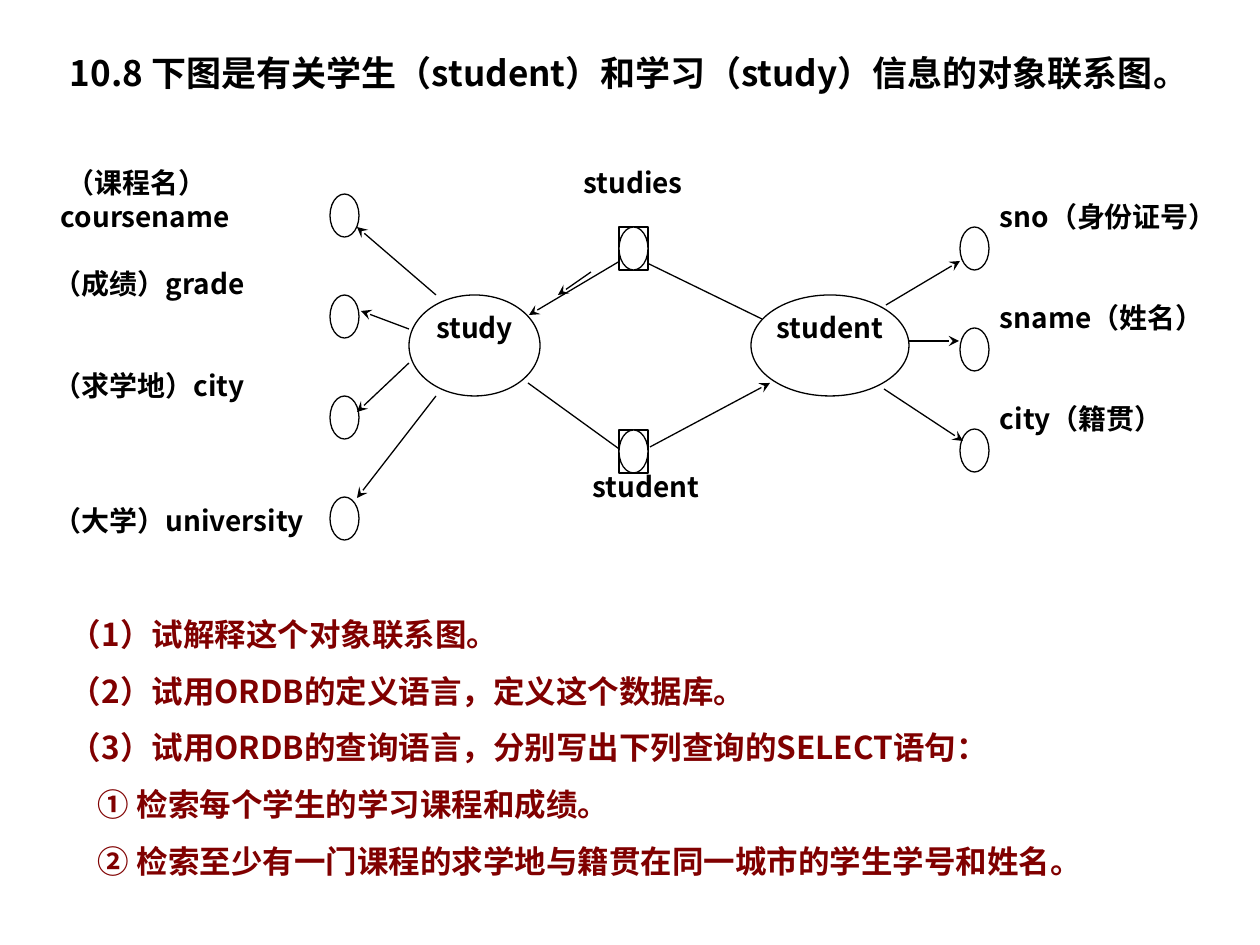
from lxml import etree
from pptx import Presentation
from pptx.dml.color import RGBColor
from pptx.enum.shapes import MSO_CONNECTOR, MSO_SHAPE
from pptx.enum.text import MSO_ANCHOR, PP_ALIGN
from pptx.oxml.ns import qn
from pptx.util import Emu, Pt

LINE = MSO_CONNECTOR.STRAIGHT
OVAL, RECT = MSO_SHAPE.OVAL, MSO_SHAPE.RECTANGLE
LEFT, MID, TOP = PP_ALIGN.LEFT, PP_ALIGN.CENTER, MSO_ANCHOR.TOP
FONT = "Noto Sans CJK SC"
HUE = {"ink": "000000", "paper": "FFFFFF", "task": "800000"}
PX = 914400 / 126


def write(shape, lines, size=16, hue="ink", align=LEFT, lead=1.2, pad=(0, 6)):
    """Fill a shape with (text, indent in px) lines."""
    frame = shape.text_frame
    side, edge = (Emu(int(n * PX)) for n in pad)
    form = {"word_wrap": True, "vertical_anchor": TOP, "margin_left": side,
            "margin_right": side, "margin_top": edge, "margin_bottom": edge}
    for key, val in form.items():
        setattr(frame, key, val)
    for i, (text, indent) in enumerate(lines):
        para = frame.add_paragraph() if i else frame.paragraphs[0]
        para.alignment = align
        para.line_spacing = Pt(size * lead)
        if indent:
            para._p.get_or_add_pPr().set("marL", str(int(indent * PX)))
        run = para.add_run()
        run.text = text
        for key, val in {"name": FONT, "size": Pt(size), "bold": True}.items():
            setattr(run.font, key, val)
        run.font.color.rgb = RGBColor.from_string(HUE[hue])
        etree.SubElement(run._r.get_or_add_rPr(), qn("a:ea"), typeface=FONT)


def node(kind, *box):
    """Add an outlined white shape; box is left, top, width, height in px."""
    shape = graph.shapes.add_shape(kind, *(Emu(int(n * PX)) for n in box))
    shape.shadow.inherit = False
    shape.fill.solid()
    shape.fill.fore_color.rgb = RGBColor.from_string(HUE["paper"])
    shape.line.color.rgb = RGBColor.from_string(HUE["ink"])
    shape.line.width = Pt(0.75)
    return shape


deck = Presentation()
deck.slide_width, deck.slide_height = Emu(int(1260 * PX)), Emu(int(945 * PX))
slide = deck.slides.add_slide(deck.slide_layouts[6])

# Title and questions
title = "10.8 下图是有关学生（student）和学习（study）信息的对象联系图。"
tasks = [
    ("（1）试解释这个对象联系图。", 0),
    ("（2）试用ORDB的定义语言，定义这个数据库。", 0),
    ("（3）试用ORDB的查询语言，分别写出下列查询的SELECT语句：", 0),
    ("① 检索每个学生的学习课程和成绩。", 28),
    ("② 检索至少有一门课程的求学地与籍贯在同一城市的学生学号和姓名。", 28),
]
for box, lines, size, hue, lead in [
    ((70, 51, 1185, 44), [(title, 0)], 20, "ink", 1.2),
    ((70, 596, 1185, 290), tasks, 18, "task", 1.8),
]:
    area = slide.shapes.add_textbox(*(Emu(int(n * PX)) for n in box))
    write(area, lines, size, hue, lead=lead, pad=(0, 0))

# Main object types
graph = slide.shapes.add_group_shape()
for text, left, width in [("study", 409, 131), ("student", 751, 158)]:
    write(node(OVAL, left, 295, width, 101), [(text, 0)], align=MID, pad=(0, 1))

# Attribute nodes
STEP = 101
for left, top, count in [(330, 194, 4), (960, 227, 3)]:
    for i in range(count):
        node(OVAL, left, top + i * STEP, 29, 43)

# Links: start, end, arrow at end
links = [
    (620, 261, 529, 315, True),
    (591, 272, 558, 295, True),
    (645, 262, 762, 319, False),
    (528, 383, 622, 451, False),
    (650, 447, 770, 383, True),
    (436, 295, 357, 227, True),
    (409, 329, 361, 311, True),
    (409, 363, 357, 412, True),
    (436, 396, 357, 498, True),
    (886, 305, 960, 261, True),
    (909, 341, 959, 341, True),
    (884, 389, 963, 441, True),
]
for *ends, arrow in links:
    link = graph.shapes.add_connector(LINE, *(Emu(int(n * PX)) for n in ends))
    link.line.color.rgb = RGBColor.from_string(HUE["ink"])
    link.line.width = Pt(0.75)
    if arrow:
        etree.SubElement(link.line._get_or_add_ln(), qn("a:tailEnd"), type="stealth")
    etree.SubElement(link._element.spPr, qn("a:effectLst"))

# Reference nodes
for top in (227, 430):
    for kind in (RECT, OVAL):
        node(kind, 619, top, 29, 43)

# Labels
labels = [
    (42, 160, 288, LEFT, [("（课程名）", 25), ("coursename", 19)]),
    (54, 261, 276, LEFT, [("（成绩）grade", 0)]),
    (54, 363, 276, LEFT, [("（求学地）city", 0)]),
    (54, 498, 276, LEFT, [("（大学）university", 0)]),
    (541, 160, 184, MID, [("studies", 0)]),
    (567, 464, 158, MID, [("student", 0)]),
    (1000, 194, 255, LEFT, [("sno（身份证号）", 0)]),
    (1000, 295, 255, LEFT, [("sname（姓名）", 0)]),
    (1000, 396, 255, LEFT, [("city（籍贯）", 0)]),
]
for left, top, width, align, lines in labels:
    box = (left, top, width, 12 + 34 * len(lines))
    area = graph.shapes.add_textbox(*(Emu(int(n * PX)) for n in box))
    write(area, lines, align=align)

deck.save("out.pptx")
